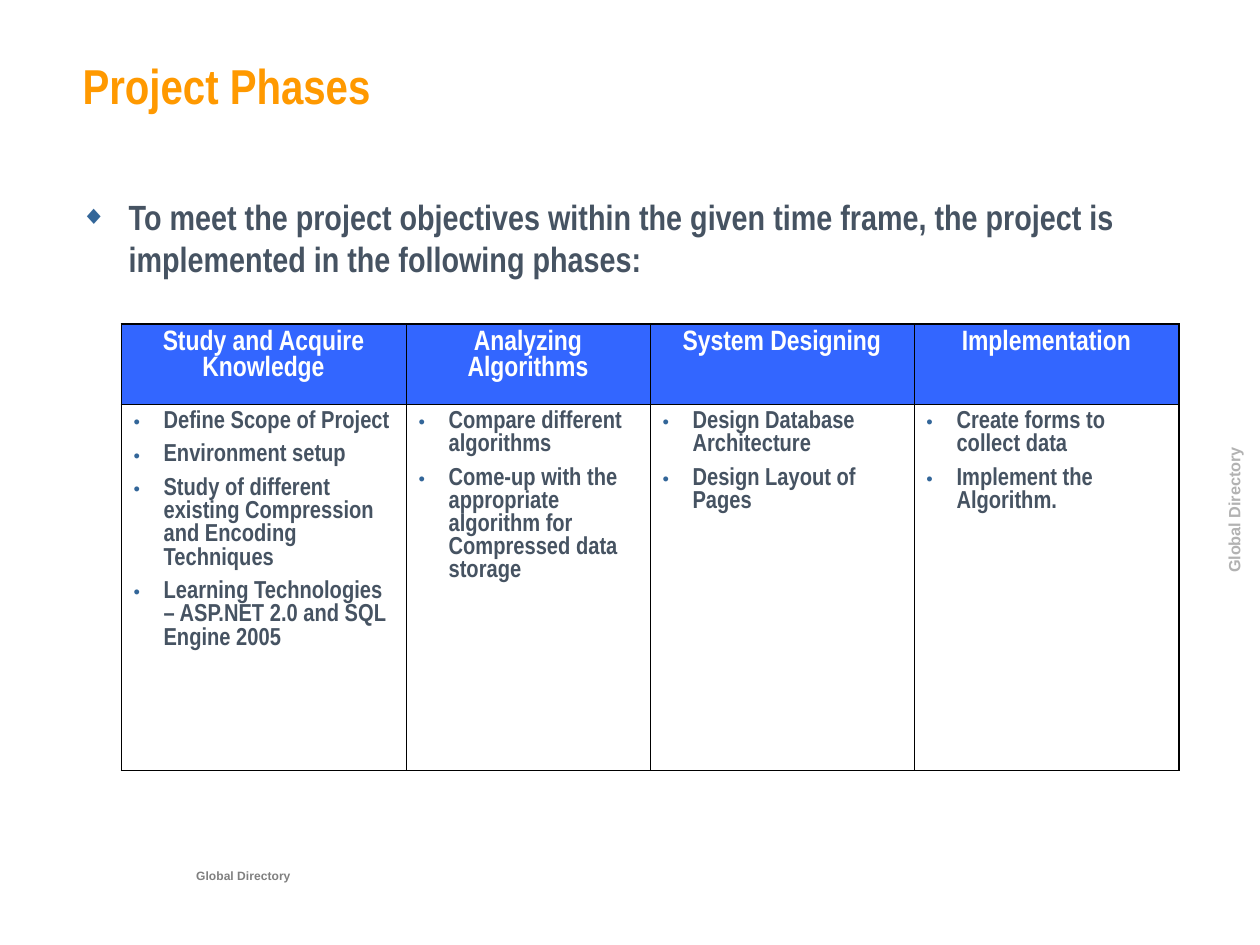
from dataclasses import dataclass

from lxml import etree
from pptx import Presentation
from pptx.dml.color import RGBColor
from pptx.enum.text import MSO_ANCHOR, MSO_AUTO_SIZE, PP_ALIGN
from pptx.oxml.ns import qn
from pptx.util import Emu, Pt

LEFT, CENTER = PP_ALIGN.LEFT, PP_ALIGN.CENTER
TOP, MIDDLE = MSO_ANCHOR.TOP, MSO_ANCHOR.MIDDLE
NO_FIT = MSO_AUTO_SIZE.NONE

PX_PER_INCH = 126
NARROW = "Arial Narrow"
WHITE, SLATE, ORANGE = "FFFFFF", "465362", "FF9900"
HEADER_BLUE, BULLET_BLUE, BLACK = "3366FF", "336699", "000000"
THICK, THIN = Pt(1.08), Pt(0.45)


@dataclass
class TextStyle:
    size: int
    color: str
    font: str = NARROW
    align: PP_ALIGN = LEFT
    before: float = 0
    bullet: str = ""
    indent: int = 0
    baseline: int = 0


@dataclass
class Phase:
    name: str
    width: int
    steps: list[str]


@dataclass
class Label:
    box: tuple[int, int, int, int]
    style: TextStyle
    rotation: int
    margins: tuple[int, int]  # top and bottom


TITLE = TextStyle(28, ORANGE)
INTRO = TextStyle(20, SLATE, before=8.8, bullet="◆", indent=48)
HEADER = TextStyle(16, WHITE, align=CENTER, before=7)
STEP = TextStyle(14, SLATE, before=6.1, bullet="•", indent=30)

PHASES = [
    Phase("Study and Acquire Knowledge", 285, [
        "Define Scope of Project",
        "Environment setup",
        "Study of different existing Compression and Encoding Techniques",
        "Learning Technologies – ASP.NET 2.0 and SQL Engine 2005",
    ]),
    Phase("Analyzing Algorithms", 244, [
        "Compare different algorithms",
        "Come-up with the appropriate algorithm for Compressed data storage",
    ]),
    Phase("System Designing", 264, [
        "Design Database Architecture",
        "Design Layout of Pages",
    ]),
    Phase("Implementation", 265, [
        "Create forms to collect data",
        "Implement the Algorithm.",
    ]),
]
ROW_HEIGHTS = [80, 366]

LABELS = [
    Label((50, 848, 387, 42),
          TextStyle(12, "808080", "Arial", CENTER, baseline=-25), 0, (6, 6)),
    Label((940, 472, 581, 76),
          TextStyle(16, "B2B2B2", "Arial", CENTER, before=10, baseline=-25), 270, (13, 25)),
]


def px(length: int) -> Emu:
    return Emu(round(length * 914400 / PX_PER_INCH))


def rgb(color: str) -> RGBColor:
    return RGBColor.from_string(color)


def set_all(target, values: dict) -> None:
    for name, value in values.items():
        setattr(target, name, value)


def place(shape, box: tuple[int, int, int, int]) -> None:
    set_all(shape, dict(zip(("left", "top", "width", "height"), map(px, box))))


def add_bullet(para, style: TextStyle) -> None:
    properties = para._p.get_or_add_pPr()
    properties.set("marL", str(px(style.indent)))
    properties.set("indent", str(-px(style.indent)))
    color = etree.SubElement(properties, qn("a:buClr"))
    etree.SubElement(color, qn("a:srgbClr"), val=BULLET_BLUE)
    etree.SubElement(properties, qn("a:buSzPct"), val="75000")
    etree.SubElement(properties, qn("a:buFont"), typeface="Arial")
    etree.SubElement(properties, qn("a:buChar"), char=style.bullet)


def write(frame, lines: list[str], style: TextStyle) -> None:
    for index, line in enumerate(lines):
        para = frame.add_paragraph() if index else frame.paragraphs[0]
        set_all(para, {"alignment": style.align, "space_before": Pt(style.before),
                       "line_spacing": 1.0})
        if style.bullet:
            add_bullet(para, style)
        span = para.add_run()
        span.text = line
        set_all(span.font, {"name": style.font, "size": Pt(style.size), "bold": True})
        span.font.color.rgb = rgb(style.color)
        if style.baseline:
            span.font._element.set("baseline", str(style.baseline * 1000))


def fill_placeholder(shape, box: tuple[int, int, int, int], line: str, style: TextStyle) -> None:
    place(shape, box)
    set_all(shape.text_frame, {"vertical_anchor": TOP, "auto_size": NO_FIT, "word_wrap": True})
    write(shape.text_frame, [line], style)


def add_label(page, label: Label, line: str) -> None:
    box = page.shapes.add_textbox(*map(px, label.box))
    box.rotation = label.rotation
    top, bottom = map(px, label.margins)
    set_all(box.text_frame, {"word_wrap": True, "vertical_anchor": MIDDLE,
                             "margin_top": top, "margin_bottom": bottom})
    write(box.text_frame, [line], label.style)


def set_borders(cell, widths: dict[str, Emu]) -> None:
    properties = cell._tc.get_or_add_tcPr()
    for index, (side, width) in enumerate(widths.items()):
        border = etree.Element(qn(f"a:ln{side}"), w=str(width))
        fill = etree.SubElement(border, qn("a:solidFill"))
        etree.SubElement(fill, qn("a:srgbClr"), val=BLACK)
        properties.insert(index, border)


def add_phase_table(page) -> None:
    size = sum(phase.width for phase in PHASES), sum(ROW_HEIGHTS)
    table = page.shapes.add_table(
        len(ROW_HEIGHTS), len(PHASES), px(121), px(324), *map(px, size)).table
    for row, height in zip(table.rows, ROW_HEIGHTS):
        row.height = px(height)
    for column, phase in enumerate(PHASES):
        table.columns[column].width = px(phase.width)
        contents = [([phase.name], HEADER, HEADER_BLUE), (phase.steps, STEP, WHITE)]
        for row, (lines, style, color) in enumerate(contents):
            cell = table.cell(row, column)
            cell.fill.solid()
            cell.fill.fore_color.rgb = rgb(color)
            # Only the top and right outer edges are heavy
            set_borders(cell, {"L": THIN, "R": THICK if phase is PHASES[-1] else THIN,
                               "T": THIN if row else THICK, "B": THIN})
            write(cell.text_frame, lines, style)


def main() -> None:
    deck = Presentation()
    set_all(deck, {"slide_width": px(1260), "slide_height": px(945)})
    page = deck.slides.add_slide(deck.slide_layouts[1])

    # Footer and side label
    for label in LABELS:
        add_label(page, label, "Global Directory")

    # Title and introduction
    fill_placeholder(page.shapes.title, (70, 49, 1153, 126), "Project Phases", TITLE)
    fill_placeholder(
        page.placeholders[1], (68, 189, 1115, 672),
        "To meet the project objectives within the given time frame, "
        "the project is implemented in the following phases:", INTRO)

    # Phases and their steps
    add_phase_table(page)
    deck.save("out.pptx")


if __name__ == "__main__":
    main()
